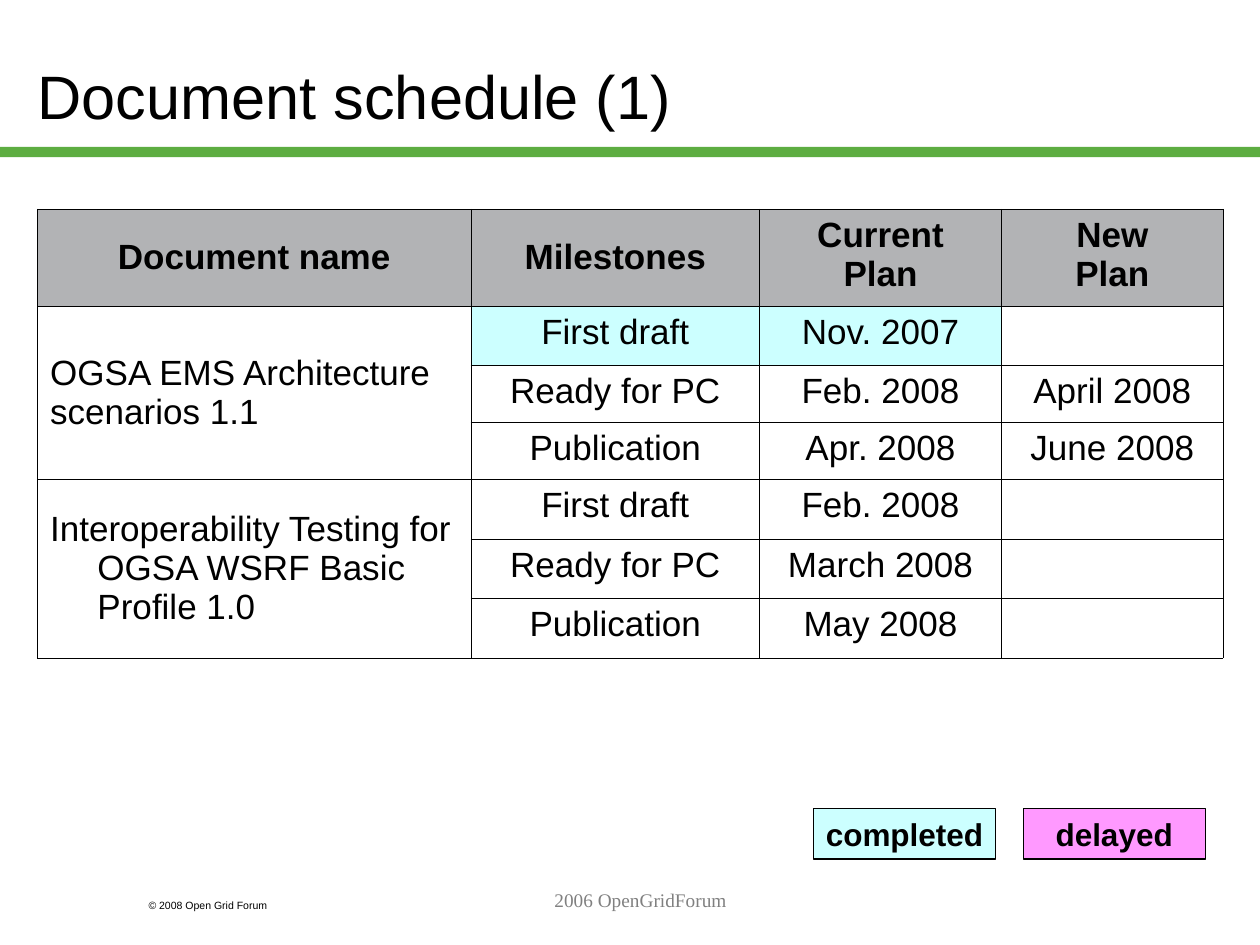
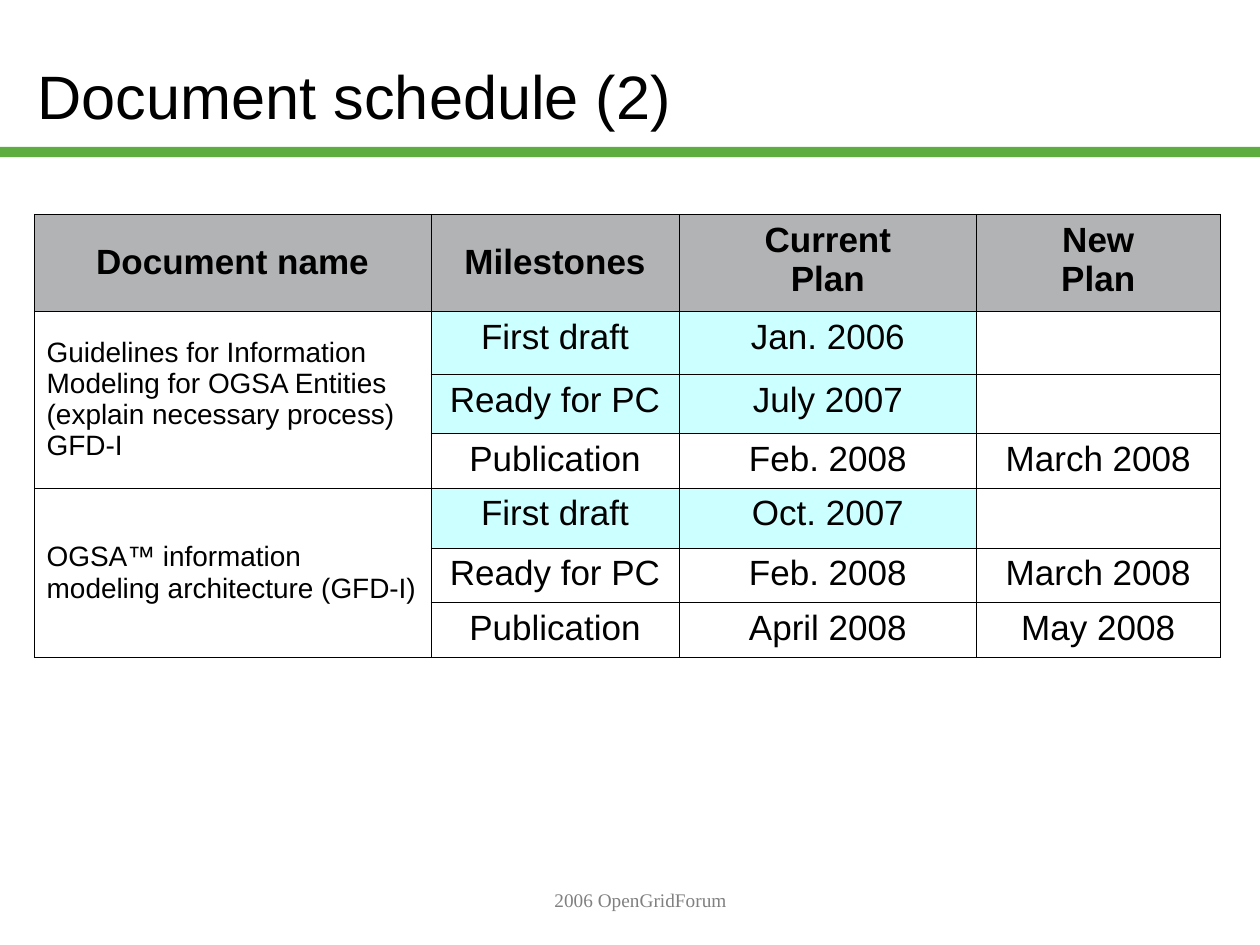
from dataclasses import dataclass

from lxml.etree import SubElement
from pptx import Presentation
from pptx.dml.color import RGBColor
from pptx.enum.shapes import MSO_SHAPE
from pptx.enum.text import MSO_ANCHOR, PP_ALIGN
from pptx.oxml.ns import qn
from pptx.util import Pt

HEADINGS = [["Document name"], ["Milestones"], ["Current", "Plan"], ["New", "Plan"]]
FOOTER = "2006 OpenGridForum"
COPYRIGHT = "© 2008 Open Grid Forum"
STATUSES = ["completed", "delayed"]

SCHEDULES = [
    {
        "title": "Document schedule (1)",
        "corner": (21.5, 119.5),
        "columns": [247.7, 164.9, 138.2, 126.7],
        "rows": [55.4, 33.7, 32.6, 32.6, 34.3, 33.7, 34.3],
        "name_size": 20,
        "documents": [
            {
                "name": ["OGSA EMS Architecture", "scenarios 1.1"],
                "hanging": True,
                "milestones": [
                    ("First draft", "Nov. 2007", "", "completed"),
                    ("Ready for PC", "Feb. 2008", "April 2008", None),
                    ("Publication", "Apr. 2008", "June 2008", None),
                ],
            },
            {
                "name": ["Interoperability Testing for OGSA WSRF Basic Profile 1.0"],
                "hanging": True,
                "milestones": [
                    ("First draft", "Feb. 2008", "", None),
                    ("Ready for PC", "March 2008", "", None),
                    ("Publication", "May 2008", "", None),
                ],
            },
        ],
        "legend": STATUSES,
        "copyright": COPYRIGHT,
    },
    {
        "title": "Document schedule (2)",
        "corner": (19.5, 122.4),
        "columns": [226.8, 141.8, 170, 139],
        "rows": [55.4, 36, 33.7, 31.4, 34.3, 30.9, 31.4],
        "name_size": 16,
        "documents": [
            {
                "name": ["Guidelines for Information Modeling for OGSA Entities",
                         "(explain necessary process)", "GFD-I"],
                "hanging": False,
                "milestones": [
                    ("First draft", "Jan. 2006", "", "completed"),
                    ("Ready for PC", "July 2007", "", "completed"),
                    ("Publication", "Feb. 2008", "March 2008", None),
                ],
            },
            {
                "name": ["OGSA™ information", "modeling architecture (GFD-I)"],
                "hanging": True,
                "milestones": [
                    ("First draft", "Oct. 2007", "", "completed"),
                    ("Ready for PC", "Feb. 2008", "March 2008", None),
                    ("Publication", "April 2008", "May 2008", None),
                ],
            },
        ],
        "legend": [],
        "copyright": None,
    },
]


@dataclass(frozen=True)
class Theme:
    sans: str = "Arial"
    serif: str = "Times New Roman"
    ink: str = "000000"
    muted: str = "808080"
    band: str = "5DAD41"
    heading: str = "B2B3B5"
    completed: str = "CCFFFF"
    delayed: str = "FF99FF"
    title_size: float = 35
    table_size: float = 20
    legend_size: float = 18
    footer_size: float = 11
    copyright_size: float = 6
    border: float = 0.45
    outline: float = 0.75
    hanging: float = 27


THEME = Theme()


def rgb(value):
    return RGBColor.from_string(value)


def write(frame, lines, size, font=THEME.sans, color=THEME.ink, bold=False,
          align=PP_ALIGN.LEFT, hanging=False):
    for index, line in enumerate(lines):
        paragraph = frame.add_paragraph() if index else frame.paragraphs[0]
        paragraph.alignment = align
        if hanging:
            properties = paragraph._p.get_or_add_pPr()
            properties.set("marL", str(Pt(THEME.hanging)))
            properties.set("indent", str(-Pt(THEME.hanging)))
        run = paragraph.add_run()
        run.text = line
        run.font.name = font
        run.font.size = Pt(size)
        run.font.bold = bold
        run.font.color.rgb = rgb(color)


def add_label(slide, place, text, size, anchor=MSO_ANCHOR.TOP, **style):
    frame = slide.shapes.add_textbox(*map(Pt, place)).text_frame
    frame.word_wrap = True
    frame.vertical_anchor = anchor
    write(frame, [text], size, **style)


def add_box(slide, place, fill):
    box = slide.shapes.add_shape(MSO_SHAPE.RECTANGLE, *map(Pt, place))
    box.shadow.inherit = False
    box.fill.solid()
    box.fill.fore_color.rgb = rgb(fill)
    box.line.fill.background()
    return box


def add_frame(slide, schedule):
    add_box(slide, (0, 84, 720, 5.8), THEME.band)
    add_label(slide, (14.4, 9.4, 612, 90), schedule["title"], THEME.title_size,
              anchor=MSO_ANCHOR.MIDDLE)
    add_label(slide, (156, 504, 420, 36), FOOTER, THEME.footer_size,
              font=THEME.serif, color=THEME.muted, align=PP_ALIGN.CENTER)
    if schedule["copyright"]:
        add_label(slide, (77.8, 510, 108, 14.4), schedule["copyright"],
                  THEME.copyright_size)


def style_cell(cell, fill):
    if fill:
        cell.fill.solid()
        cell.fill.fore_color.rgb = rgb(fill)
    else:
        cell.fill.background()
    properties = cell._tc.get_or_add_tcPr()
    for position, side in enumerate(("lnL", "lnR", "lnT", "lnB")):
        edge = SubElement(properties, qn(f"a:{side}"), w=str(Pt(THEME.border)))
        paint = SubElement(edge, qn("a:solidFill"))
        SubElement(paint, qn("a:srgbClr"), val=THEME.ink)
        properties.insert(position, edge)


def add_schedule(slide, schedule):
    columns, rows = schedule["columns"], schedule["rows"]
    place = (*schedule["corner"], sum(columns), sum(rows))
    table = slide.shapes.add_table(len(rows), len(columns), *map(Pt, place)).table
    table.first_row = table.horz_banding = False
    for column, width in zip(table.columns, columns):
        column.width = Pt(width)
    for row, height in zip(table.rows, rows):
        row.height = Pt(height)

    fills = {(0, column): THEME.heading for column in range(len(columns))}
    for column, heading in enumerate(HEADINGS):
        cell = table.cell(0, column)
        if len(heading) == 1:
            cell.vertical_anchor = MSO_ANCHOR.MIDDLE
        write(cell.text_frame, heading, THEME.table_size, bold=True,
              align=PP_ALIGN.CENTER, hanging=True)

    top = 1
    for document in schedule["documents"]:
        milestones = document["milestones"]
        name = table.cell(top, 0)
        name.merge(table.cell(top + len(milestones) - 1, 0))
        name.vertical_anchor = MSO_ANCHOR.MIDDLE
        write(name.text_frame, document["name"], schedule["name_size"],
              hanging=document["hanging"])
        for row, (*entries, status) in enumerate(milestones, top):
            for column, entry in enumerate(entries, 1):
                if entry:
                    write(table.cell(row, column).text_frame, [entry],
                          THEME.table_size, align=PP_ALIGN.CENTER, hanging=True)
            if status:
                fills[row, 1] = fills[row, 2] = getattr(THEME, status)
        top += len(milestones)

    for row in range(len(rows)):
        for column in range(len(columns)):
            style_cell(table.cell(row, column), fills.get((row, column)))


def add_legend(slide, statuses):
    for index, status in enumerate(statuses):
        key = add_box(slide, (464.9 + 119.8 * index, 462.2, 104, 28.8),
                      getattr(THEME, status))
        key.line.color.rgb = rgb(THEME.ink)
        key.line.width = Pt(THEME.outline)
        key.text_frame.word_wrap = False
        key.text_frame.vertical_anchor = MSO_ANCHOR.MIDDLE
        write(key.text_frame, [status], THEME.legend_size, bold=True,
              align=PP_ALIGN.CENTER)


def main():
    deck = Presentation()
    deck.slide_width, deck.slide_height = Pt(720), Pt(540)
    for schedule in SCHEDULES:
        slide = deck.slides.add_slide(deck.slide_layouts[6])
        add_frame(slide, schedule)
        add_schedule(slide, schedule)
        add_legend(slide, schedule["legend"])
    deck.save("out.pptx")


if __name__ == "__main__":
    main()
